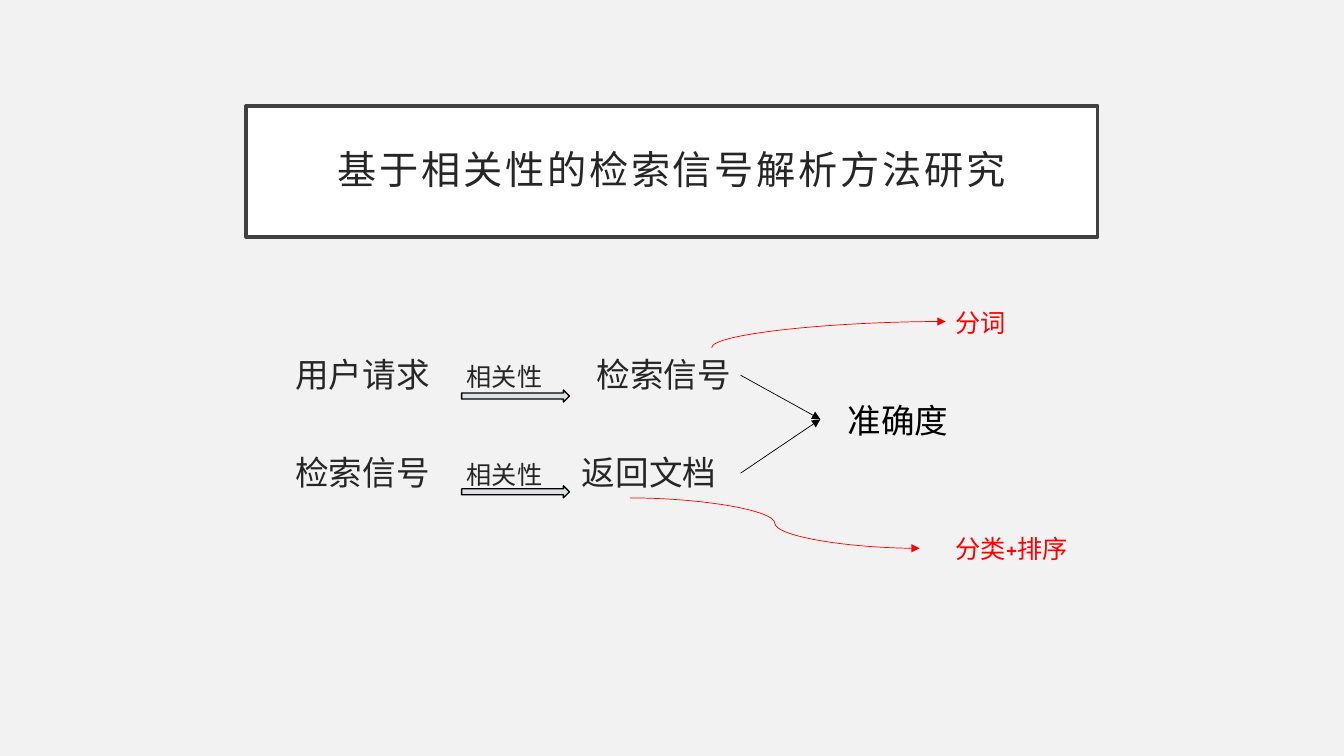
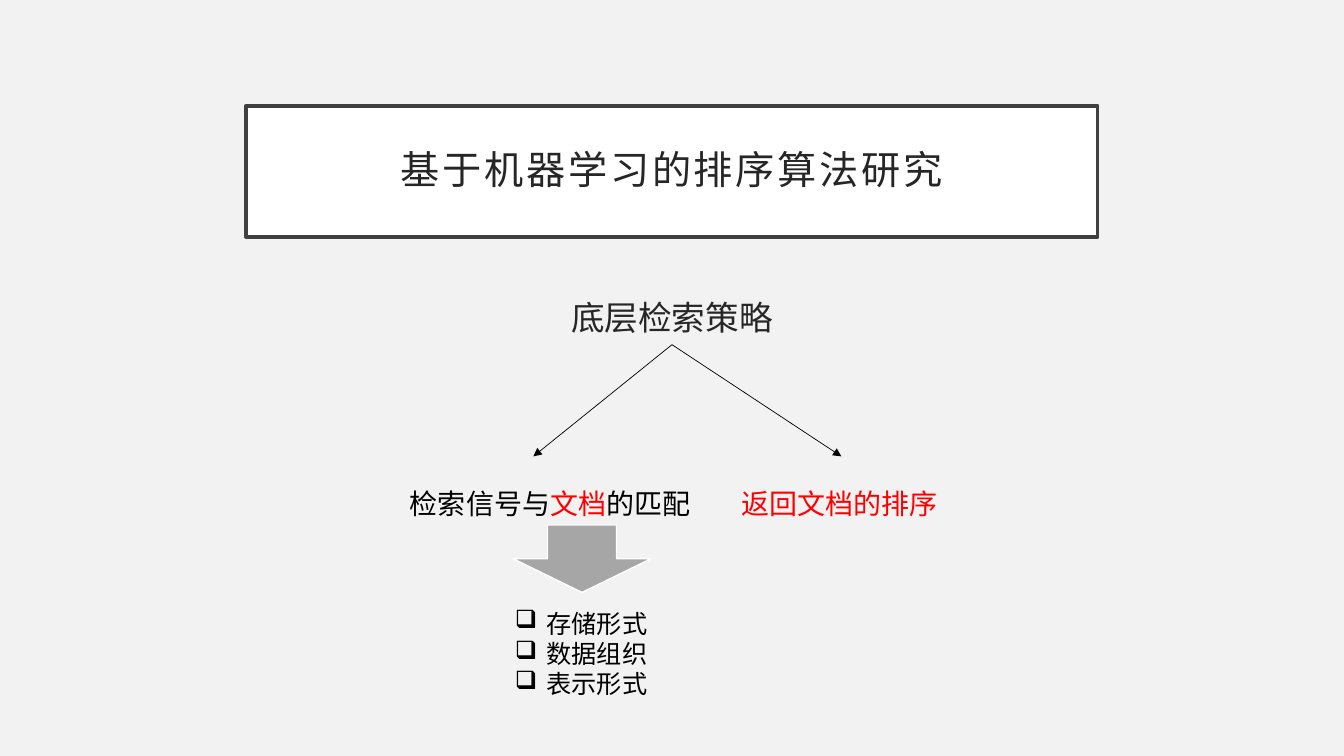
from dataclasses import dataclass

from lxml.etree import SubElement
from pptx import Presentation
from pptx.dml.color import RGBColor
from pptx.enum.shapes import MSO_CONNECTOR, MSO_SHAPE
from pptx.enum.text import MSO_ANCHOR, MSO_AUTO_SIZE, PP_ALIGN
from pptx.oxml.ns import qn
from pptx.util import Pt


@dataclass(frozen=True)
class Theme:
    font: str = "Cabin"
    background: str = "F2F2F2"
    white: str = "FFFFFF"
    frame: str = "404040"
    text: str = "262626"
    black: str = "000000"
    red: str = "FF0000"
    pale: str = "D7DFE1"
    grey: str = "A6A6A6"
    title_size: int = 28
    large: int = 24
    medium: int = 20
    small: int = 18


T = Theme()
SLIDE_SIZE = (960, 540)
TITLE_BOX = (175.7, 75.6, 608.4, 93.6)
LINE_HEIGHT = {T.large: 36, T.medium: 31.5, T.small: 29}

# Slide 1: request, relation, result and the left edge of the result
RELEVANCE_TITLE = "基于相关性的检索信号解析方法研究"
FLOWS = [
    ("用户请求", "相关性", "检索信号", 419),
    ("检索信号", "相关性", "返回文档", 408.5),
]
FLOW_CENTERS = (267, 337)
FLOW_ARROW_TOPS = (278.6, 347)
ACCURACY = "准确度"
ACCURACY_POINT = (586, 299.5)
SEGMENTATION = "分词"
CLASSIFICATION = "分类+排序"

# Slide 2
RANKING_TITLE = "基于机器学习的排序算法研究"
STRATEGY = "底层检索策略"
MATCHING = [("检索信号与", T.black), ("文档", T.red), ("的匹配", T.black)]
RANKING = "返回文档的排序"
DOCUMENT_ASPECTS = ["存储形式", "数据组织", "表示形式"]
BRANCH_START = (480, 246.2)
BRANCH_ENDS = [(601, 326), (381, 326)]


def rgb(value):
    return RGBColor.from_string(value)


def add_run(p, text, size, color):
    r = p.add_run()
    r.text = text
    for name, value in {"size": Pt(size), "name": T.font}.items():
        setattr(r.font, name, value)
    r.font.color.rgb = rgb(color)
    return r


def add_label(s, runs, left, center, width, size, color=T.black,
              align=PP_ALIGN.LEFT):
    """Add one line of text centred on a height; runs is text or (text, color) pairs."""
    height = LINE_HEIGHT[size]
    box = s.shapes.add_textbox(Pt(left), Pt(center - height / 2), Pt(width), Pt(height))
    tf = box.text_frame
    tf.word_wrap = True
    p = tf.paragraphs[0]
    p.alignment = align
    for text, run_color in [(runs, color)] if isinstance(runs, str) else runs:
        add_run(p, text, size, run_color)


def add_bullets(s, items, left, top, width, indent=22.5):
    height = LINE_HEIGHT[T.small] * len(items)
    tf = s.shapes.add_textbox(Pt(left), Pt(top), Pt(width), Pt(height)).text_frame
    tf.word_wrap = True
    for i, item in enumerate(items):
        p = tf.add_paragraph() if i else tf.paragraphs[0]
        add_run(p, item, T.small, T.black)
        p_pr = p._p.get_or_add_pPr()
        p_pr.set("marL", str(Pt(indent)))
        p_pr.set("indent", str(-Pt(indent)))
        SubElement(p_pr, qn("a:buChar")).set("char", "❑")


def add_block_arrow(s, kind, box, fill, line, opacity=None):
    arrow = s.shapes.add_shape(kind, *map(Pt, box))
    arrow.shadow.inherit = False
    arrow.fill.solid()
    arrow.fill.fore_color.rgb = rgb(fill)
    arrow.line.color.rgb = rgb(line)
    arrow.line.width = Pt(1)
    if opacity:
        color = arrow._element.spPr.find(qn("a:solidFill"))[0]
        SubElement(color, qn("a:alpha")).set("val", str(opacity * 1000))


def add_arrow(s, start, end, color=T.black, kind=MSO_CONNECTOR.STRAIGHT):
    arrow = s.shapes.add_connector(kind, *map(Pt, (*start, *end)))
    arrow.line.color.rgb = rgb(color)
    arrow.line.width = Pt(0.5)
    SubElement(arrow.line._get_or_add_ln(), qn("a:tailEnd")).set("type", "triangle")
    SubElement(arrow._element.spPr, qn("a:effectLst"))
    return arrow


def add_quarter_curve(s, start, end, color):
    """Add an arrow that leaves vertically and arrives horizontally (turned 90°)."""
    (x1, y1), (x2, y2) = start, end
    cx, cy = (x1 + x2) / 2, (y1 + y2) / 2
    dx, dy = (x2 - x1) / 2, (y2 - y1) / 2
    arrow = add_arrow(s, (cx - dy, cy + dx), (cx + dy, cy - dx), color,
                      MSO_CONNECTOR.CURVE)
    sp_pr = arrow._element.spPr
    sp_pr.find(qn("a:xfrm")).set("rot", "5400000")
    sp_pr.find(qn("a:prstGeom")).set("prst", "curvedConnector2")


def add_titled_slide(prs, text):
    s = prs.slides.add_slide(prs.slide_layouts[5])
    title = s.shapes.title
    for name, value in zip(("left", "top", "width", "height"), TITLE_BOX):
        setattr(title, name, Pt(value))
    title.fill.solid()
    title.fill.fore_color.rgb = rgb(T.white)
    title.line.color.rgb = rgb(T.frame)
    title.line.width = Pt(2.5)
    tf = title.text_frame
    frame_format = {"word_wrap": True, "auto_size": MSO_AUTO_SIZE.NONE,
                    "vertical_anchor": MSO_ANCHOR.MIDDLE}
    for side in ("left", "top", "right", "bottom"):
        frame_format[f"margin_{side}"] = Pt(14.4)
    for name, value in frame_format.items():
        setattr(tf, name, value)
    p = tf.paragraphs[0]
    p.alignment = PP_ALIGN.CENTER
    p.line_spacing = 0.9
    r = add_run(p, text, T.title_size, T.text)
    r.font._element.set("spc", "200")
    return s


def build_relevance(prs):
    s = add_titled_slide(prs, RELEVANCE_TITLE)
    for flow, center, arrow_top in zip(FLOWS, FLOW_CENTERS, FLOW_ARROW_TOPS):
        request, relation, result, result_left = flow
        add_label(s, request, 203.8, center, 120, T.large, T.text)
        add_label(s, relation, 326.3, center + 2.2, 80, T.small, T.text)
        add_label(s, result, result_left, center, 120, T.large, T.text)
        add_block_arrow(s, MSO_SHAPE.RIGHT_ARROW, (329.8, arrow_top, 77, 8.6),
                        T.pale, T.black, opacity=81)
        add_arrow(s, (529, center + 1), ACCURACY_POINT)
    add_label(s, ACCURACY, 598.3, 300.2, 90, T.large)
    add_quarter_curve(s, (508.3, 248.4), (675.4, 229.7), T.red)
    add_label(s, SEGMENTATION, 675.4, 230.4, 60, T.small, T.red)
    add_arrow(s, (450, 355.7), (656.9, 391.7), T.red, MSO_CONNECTOR.CURVE)
    add_label(s, CLASSIFICATION, 675.4, 391.7, 97.9, T.small, T.red)


def build_ranking(prs):
    s = add_titled_slide(prs, RANKING_TITLE)
    add_label(s, STRATEGY, 380, 226.5, 200, T.large, T.text, PP_ALIGN.CENTER)
    for end in BRANCH_ENDS:
        add_arrow(s, BRANCH_START, end)
    add_label(s, MATCHING, 285.8, 360, 225, T.medium)
    add_label(s, RANKING, 522.7, 360, 165, T.medium, T.red)
    add_bullets(s, DOCUMENT_ASPECTS, 360.7, 430.6, 115)
    add_block_arrow(s, MSO_SHAPE.DOWN_ARROW, (366.5, 375, 98.6, 48.2), T.grey, T.white)


def main():
    prs = Presentation()
    prs.slide_width, prs.slide_height = map(Pt, SLIDE_SIZE)
    fill = prs.slide_master.background.fill
    fill.solid()
    fill.fore_color.rgb = rgb(T.background)
    build_relevance(prs)
    build_ranking(prs)
    prs.save("out.pptx")


if __name__ == "__main__":
    main()
